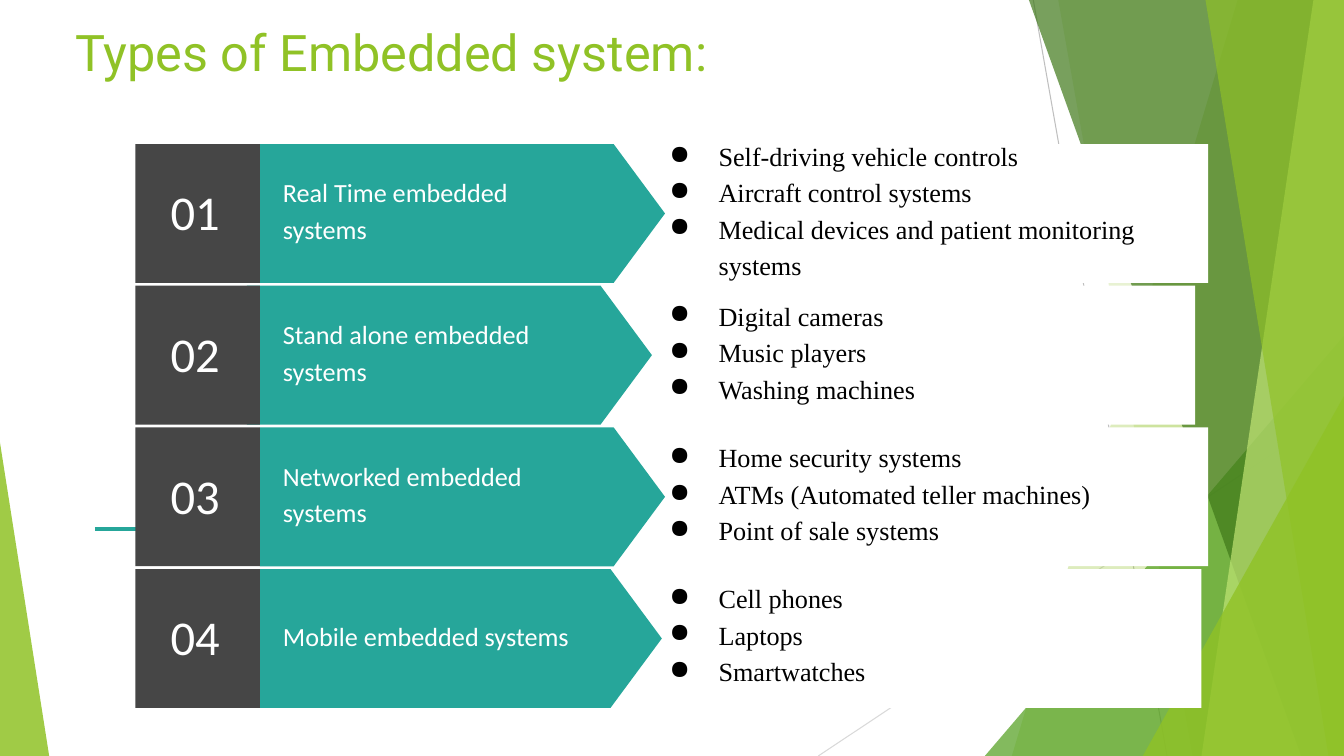
from lxml.etree import SubElement
from pptx import Presentation
from pptx.dml.color import RGBColor
from pptx.enum.shapes import MSO_CONNECTOR, MSO_SHAPE
from pptx.enum.text import MSO_ANCHOR, MSO_AUTO_SIZE, PP_ALIGN
from pptx.oxml.ns import qn
from pptx.util import Cm, Pt

COLORS = {
    "lime": "90C226", "green": "54A021", "forest": "3F7819", "pale": "C0E474",
    "gray": "BFBFBF", "light": "D9D9D9", "teal": "26A69A", "dark": "464646",
    "white": "FFFFFF", "black": "000000",
}
WIDTH, HEIGHT = 33.87, 19.05
ROW_TOP, ROW_PITCH, ROW_HEIGHT = 3.63, 3.57, 3.5

# top x, bottom x, colour, opacity of each band reaching the right edge
BANDS_BACK = [(31.19, 25.5, "lime", 30), (26.67, 30.05, "lime", 20)]
BANDS_FRONT = [(25.93, 32.79, "forest", 70), (33.1, 30.28, "pale", 70),
               (30.38, 33.48, "lime", 65)]

# label, label top and width, arrow left and width, panel left and width
ROWS = [
    ("Real Time embedded systems", 0.65, 6.3, 6.55, 10.21, 14.91, 15.54),
    ("Stand alone embedded systems", 0.65, 6.86, 6.22, 10.21, 14.58, 15.54),
    ("Networked embedded systems", 0.65, 6.58, 6.55, 10.21, 14.91, 15.54),
    ("Mobile embedded systems", 1.24, 8.03, 6.55, 10.13, 14.86, 15.42),
]

# top, width, height and (text, space before, line spacing) of each list
EXAMPLES = [
    (3.35, 11.79, 6.93, [
        ("Self-driving vehicle controls", 0, 1),
        ("Aircraft control systems", 3.6, 1),
        ("Medical devices and patient monitoring systems", 0, 1.16),
        ("Digital cameras", 13.7, 1),
        ("Music players", 3.6, 1),
        ("Washing machines", 3.6, 1)]),
    (10.95, 10.69, 2.84, [
        ("Home security systems", 0, 1),
        ("ATMs (Automated teller machines)", 3.6, 1),
        ("Point of sale systems", 3.6, 1)]),
    (14.5, 5.03, 2.84, [
        ("Cell phones", 0, 1),
        ("Laptops", 3.6, 1),
        ("Smartwatches", 3.6, 1)]),
]


def rgb(name):
    return RGBColor.from_string(COLORS[name])


def write(p, text, *, font, size, color, before=0, spacing=1, bullet=None):
    """Fill a paragraph with one formatted run."""
    if bullet:
        pPr = p._p.get_or_add_pPr()
        pPr.set("marL", str(Cm(1.3)))
        pPr.set("indent", str(Cm(-1.24)))
        SubElement(pPr, qn("a:buChar")).set("char", bullet)
    p.alignment = PP_ALIGN.LEFT
    p.space_before = Pt(before)
    p.line_spacing = spacing
    r = p.add_run()
    r.text = text
    r.font.name = font
    r.font.size = Pt(size)
    r.font.color.rgb = rgb(color)


class SlideBuilder:
    def __init__(self, prs):
        self.slide = prs.slides.add_slide(prs.slide_layouts[5])
        self.shapes = self.slide.shapes

    def frame(self, sp, inset=0.05):
        """Set the shared text frame style and return the frame."""
        tf = sp.text_frame
        tf.word_wrap = True
        tf.auto_size = MSO_AUTO_SIZE.SHAPE_TO_FIT_TEXT
        tf.vertical_anchor = MSO_ANCHOR.TOP
        tf.margin_left = tf.margin_right = tf.margin_bottom = 0
        tf.margin_top = Cm(inset)
        return tf

    def title(self, text, x, y, w, h):
        sp = self.shapes.title
        sp.left, sp.top, sp.width, sp.height = Cm(x), Cm(y), Cm(w), Cm(h)
        write(self.frame(sp).paragraphs[0], text, font="Roboto", size=36, color="lime")

    def paint(self, sp, color, opacity):
        sp.shadow.inherit = False
        sp.line.fill.background()
        sp.fill.solid()
        sp.fill.fore_color.rgb = rgb(color)
        if opacity < 100:
            clr = sp.fill._xPr.find(".//" + qn("a:srgbClr"))
            SubElement(clr, qn("a:alpha")).set("val", str(opacity * 1000))

    def shape(self, kind, x, y, w, h, color, opacity=100, adj=None):
        sp = self.shapes.add_shape(kind, Cm(x), Cm(y), Cm(w), Cm(h))
        if adj is not None:
            sp.adjustments[0] = adj
        self.paint(sp, color, opacity)

    def band(self, top_x, bottom_x, color, opacity):
        """Draw a slanted band from the given left edge to the slide's right edge."""
        builder = self.shapes.build_freeform(Cm(top_x), 0)
        corners = [(WIDTH, 0), (WIDTH, HEIGHT), (bottom_x, HEIGHT)]
        builder.add_line_segments([(Cm(x), Cm(y)) for x, y in corners])
        self.paint(builder.convert_to_shape(), color, opacity)

    def line(self, x1, y1, x2, y2, color, width):
        cx = self.shapes.add_connector(MSO_CONNECTOR.STRAIGHT, Cm(x1), Cm(y1), Cm(x2), Cm(y2))
        cx.line.color.rgb = rgb(color)
        cx.line.width = Pt(width)
        SubElement(cx._element.spPr, qn("a:effectLst"))

    def text(self, text, x, y, w, h, **style):
        sp = self.shapes.add_textbox(Cm(x), Cm(y), Cm(w), Cm(h))
        write(self.frame(sp).paragraphs[0], text, font="Calibri", color="white", **style)

    def bullets(self, x, y, w, h, items):
        sp = self.shapes.add_textbox(Cm(x), Cm(y), Cm(w), Cm(h))
        tf = self.frame(sp, inset=0.18)
        for i, (text, before, spacing) in enumerate(items):
            p = tf.add_paragraph() if i else tf.paragraphs[0]
            write(p, text, font="Times New Roman", size=18.7, color="black",
                  before=before, spacing=spacing, bullet="●")


def draw_background(s):
    triangle = MSO_SHAPE.ISOSCELES_TRIANGLE
    s.line(26.04, 0, 29.41, HEIGHT, "gray", 0.75)
    s.line(WIDTH, 10.24, 20.62, HEIGHT, "light", 0.75)
    for band in BANDS_BACK:
        s.band(*band)
    s.shape(triangle, 24.82, 8.46, 9.05, 10.59, "green", 72, adj=1)
    for band in BANDS_FRONT:
        s.band(*band)
    s.shape(triangle, 28.8, 9.98, 5.07, 9.07, "lime", 80, adj=1)
    s.shape(triangle, 0, 11.15, 1.24, 7.9, "lime", 85, adj=0)


def draw_rows(s):
    s.line(2.39, 13.33, 3.84, 13.33, "teal", 2.25)
    for i, (label, label_top, label_w, arrow_x, arrow_w, panel_x, panel_w) in enumerate(ROWS):
        y = ROW_TOP + i * ROW_PITCH
        s.shape(MSO_SHAPE.RECTANGLE, panel_x, y, panel_w, ROW_HEIGHT, "white")
        s.shape(MSO_SHAPE.PENTAGON, arrow_x, y, arrow_w, ROW_HEIGHT, "teal", adj=0.37)
        s.shape(MSO_SHAPE.RECTANGLE, 3.41, y, 3.14, ROW_HEIGHT, "dark")
        s.text(f"{i + 1:02}", 4.3, y + 0.91, 1.42, 1.52, size=34.7)
        s.text(label, 7.13, y + label_top, label_w, 1.83 if label_top < 1 else 0.84,
               size=18.7, spacing=1.16 if label_top < 1 else 1)
    for top, w, h, items in EXAMPLES:
        s.bullets(16.81, top, w, h, items)


def main():
    prs = Presentation()
    prs.slide_width, prs.slide_height = Cm(WIDTH), Cm(HEIGHT)
    s = SlideBuilder(prs)
    draw_background(s)
    s.title("Types of Embedded system:", 1.9, 0.48, 16.89, 1.57)
    draw_rows(s)
    prs.save("out.pptx")


if __name__ == "__main__":
    main()
